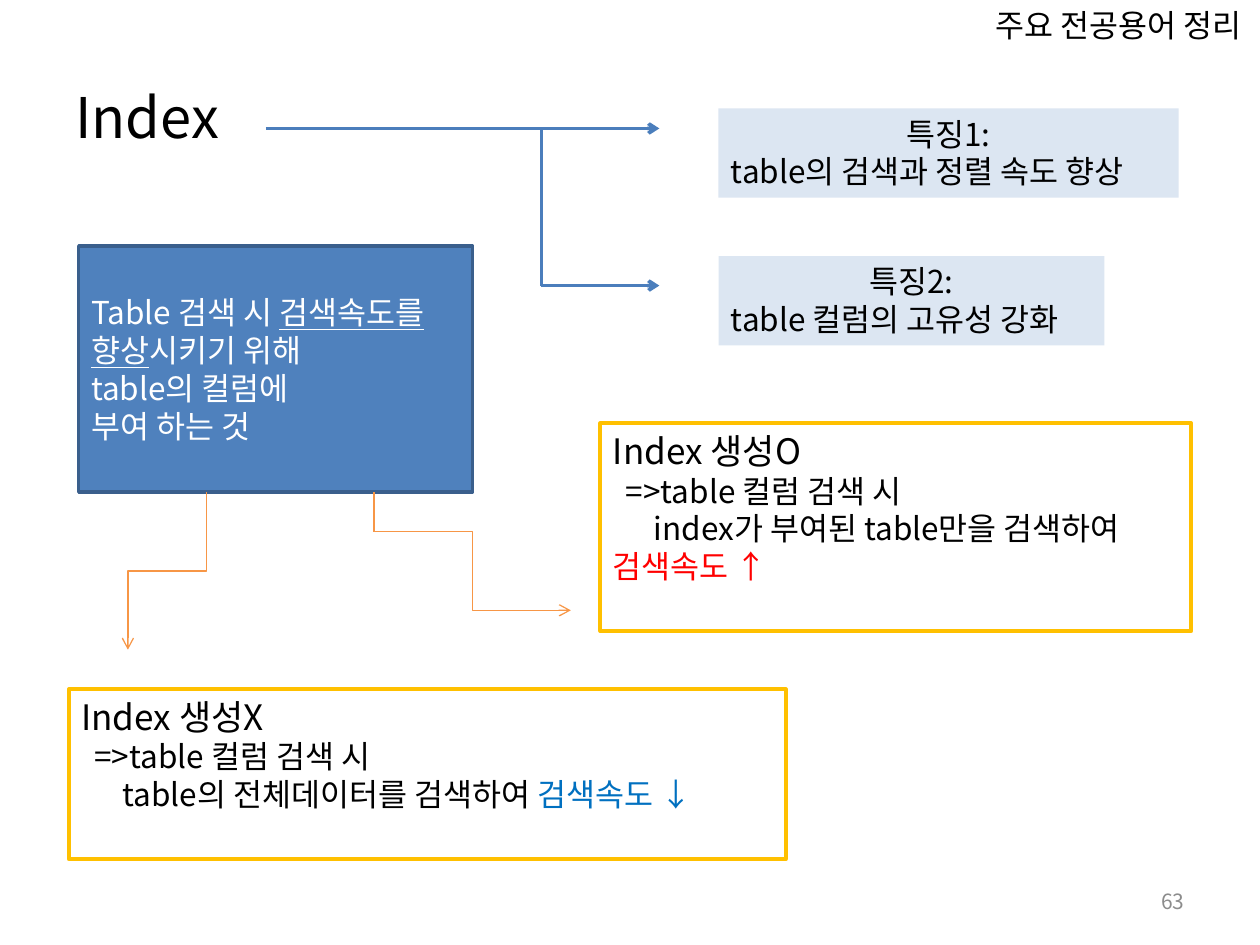
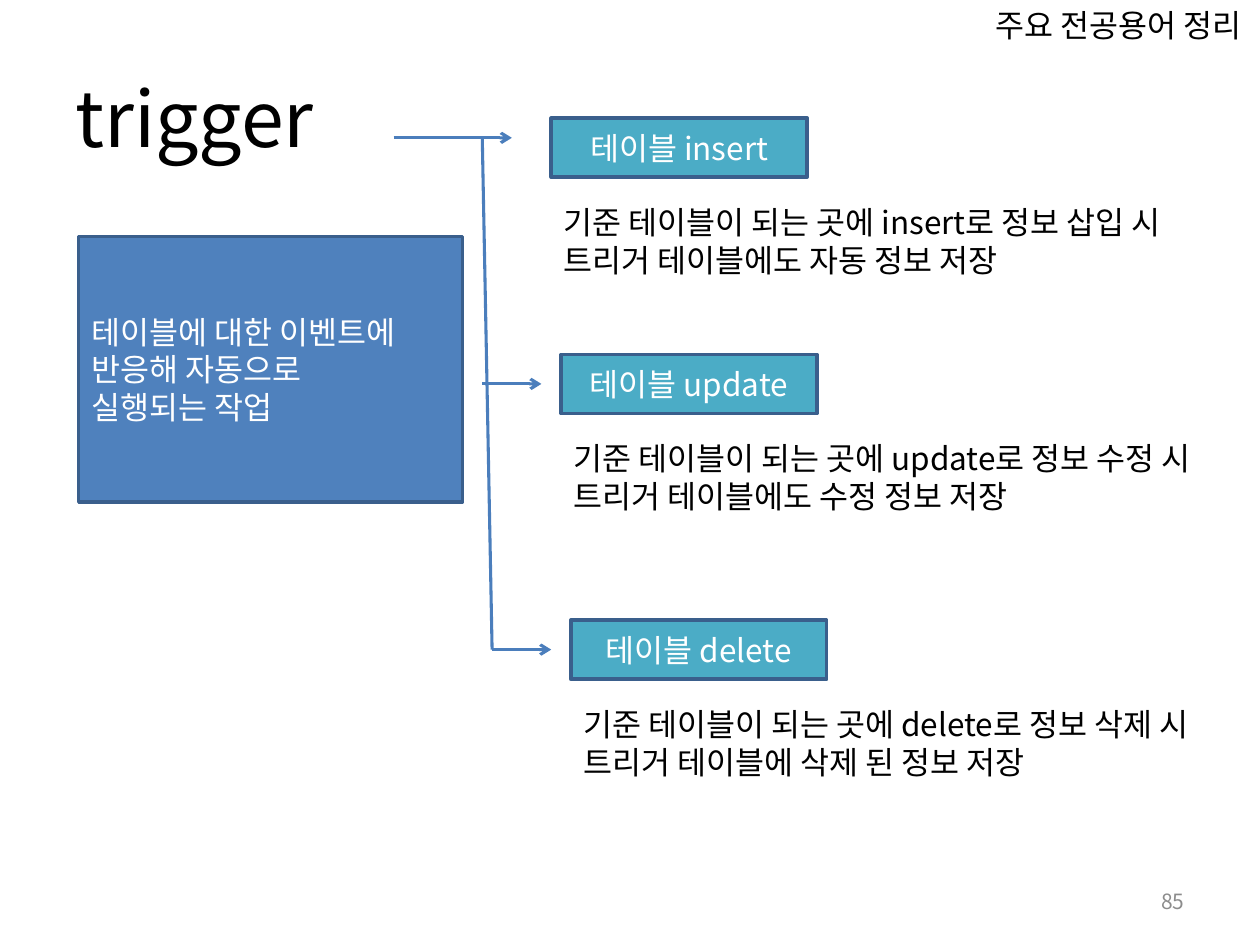
from pptx import Presentation
from pptx.dml.color import RGBColor
from pptx.enum.shapes import MSO_CONNECTOR, MSO_SHAPE
from pptx.enum.text import MSO_ANCHOR, PP_ALIGN
from pptx.oxml.ns import qn
from pptx.util import Pt
from lxml.etree import SubElement

FONT = "Noto Sans CJK KR"
BLACK, WHITE, GRAY, RED = "000000", "FFFFFF", "8C8C8C", "FF0000"
BLUE, NAVY, LINE_BLUE, PALE = "4F81BD", "3A5F8C", "4B7EBC", "DCE6F2"
TEAL, ORANGE, GOLD, LINK_BLUE = "4BACC6", "F79646", "FFC000", "0070C0"
LEFT, CENTER, RIGHT = PP_ALIGN.LEFT, PP_ALIGN.CENTER, PP_ALIGN.RIGHT
TOP, MIDDLE = MSO_ANCHOR.TOP, MSO_ANCHOR.MIDDLE
rgb = RGBColor.from_string


def add_box(page, area, paras, size=18, color=BLACK, align=LEFT, anchor=TOP,
            fill=None, line=None, weight=2):
    """Each para is (runs, changes); each run is (text, changes)."""
    area = [Pt(length) for length in area]
    if fill or line:
        box = page.shapes.add_shape(MSO_SHAPE.RECTANGLE, *area)
        box.shadow.inherit = False
        for part, shade in ((box.fill, fill), (box.line.fill, line)):
            if shade:
                part.solid()
                part.fore_color.rgb = rgb(shade)
            else:
                part.background()
        if line:
            box.line.width = Pt(weight)
    else:
        box = page.shapes.add_textbox(*area)
    frame = box.text_frame
    frame.word_wrap = True
    frame.vertical_anchor = anchor
    for number, (runs, changes) in enumerate(paras):
        para = frame.add_paragraph() if number else frame.paragraphs[0]
        para.alignment = changes.get("align", align)
        if "indent" in changes:
            para._p.get_or_add_pPr().set("marL", str(Pt(changes["indent"])))
        for text, style in runs:
            span = para.add_run()
            span.text = text
            span.font.size = Pt(changes.get("size", size))
            span.font.name = FONT
            span.font.color.rgb = rgb(style.get("color", color))
            if style.get("underline"):
                span.font.underline = True
            SubElement(span._r.get_or_add_rPr(), qn("a:ea"), typeface=FONT)


def add_line(page, start, end, color, weight, arrow=False, bent=False, turn=0):
    kind = MSO_CONNECTOR.ELBOW if bent else MSO_CONNECTOR.STRAIGHT
    line = page.shapes.add_connector(kind, *[Pt(v) for v in (*start, *end)])
    line.line.color.rgb = rgb(color)
    line.line.width = Pt(weight)
    properties = line._element.spPr
    if arrow:
        SubElement(properties.find(qn("a:ln")), qn("a:tailEnd"), type="arrow")
    if turn:
        properties.find(qn("a:xfrm")).set("rot", str(turn * 60000))
    SubElement(properties, qn("a:effectLst"))


deck = Presentation()
deck.slide_width, deck.slide_height = Pt(720), Pt(540)

# Title, running header and page number on every slide
pages = []
for title, size, number in (("Index", 32, "63"), ("trigger", 44, "85")):
    page = deck.slides.add_slide(deck.slide_layouts[6])
    add_box(page, (36, 21.6, 648, 90), [([(title, {})], {})], size, anchor=MIDDLE)
    add_box(page, (546, 0, 186, 29), [([("주요 전공용어 정리", {})], {})], align=CENTER)
    add_box(page, (516, 500.5, 168, 28.75), [([(number, {})], {})], 12, GRAY, RIGHT, MIDDLE)
    pages.append(page)
index_page, trigger_page = pages

# Index: definition
definition = [
    ([("Table 검색 시 ", {}), ("검색속도를 향상", {"underline": True}), ("시키기 위해", {})], {}),
    ([("table의 컬럼에", {})], {}),
    ([("부여 하는 것", {})], {}),
]
add_box(index_page, (45, 140.6, 225, 140.6), definition, color=WHITE, anchor=MIDDLE,
        fill=BLUE, line=NAVY)

# Index: features and the arrows to them
features = [
    (62, 263, "특징1:", "table의 검색과 정렬 속도 향상"),
    (146.4, 220.5, "특징2:", "table 컬럼의 고유성 강화"),
]
for top, width, heading, detail in features:
    add_box(index_page, (410.6, top, width, 51),
            [([(heading, {})], {"align": CENTER}), ([(detail, {})], {})], fill=PALE)
for start, end, arrow in (((152, 73.4), (376.8, 73.4), True),
                          ((309.4, 73.4), (309.4, 163.2), False),
                          ((309.4, 163.2), (376.8, 163.2), True)):
    add_line(index_page, start, end, LINE_BLUE, 2, arrow)

# Index: search without and with an index
outcomes = [
    ((39.4, 393.8, 409.6, 97.2), "Index 생성X", [
        ([("table의 전체데이터를 검색하여 ", {}), ("검색속도 ↓", {"color": LINK_BLUE})],
         {"indent": 23.5})]),
    ((343.1, 241.9, 337.6, 118.8), "Index 생성O", [
        ([("index가 부여된 table만을 검색하여", {})], {"indent": 23.5}),
        ([("검색속도 ↑", {"color": RED})], {})]),
]
for area, heading, result in outcomes:
    paras = [([(heading, {})], {"size": 20}),
             ([("=>table 컬럼 검색 시", {})], {"indent": 7.5})]
    add_box(index_page, area, paras + result, line=GOLD, weight=2.25)
add_line(index_page, (50.6, 303.75), (140.6, 348.75), ORANGE, 0.75, True, True, turn=90)
add_line(index_page, (213.8, 303.75), (326.2, 348.75), ORANGE, 0.75, True, True)
add_line(index_page, (213.8, 303.75), (213.8, 281.2), ORANGE, 0.75)

# Trigger: definition
definition = [
    ([("테이블에 대한 이벤트에 반응해 자동으로", {})], {}),
    ([("실행되는 작업", {})], {}),
]
add_box(trigger_page, (45, 135, 219.4, 151.9), definition, color=WHITE, anchor=MIDDLE,
        fill=BLUE, line=NAVY)

# Trigger: one label and description per event
events = [
    (315, 67.5, 396, "insert", "삽입", "트리거 테이블에도 자동 정보 저장"),
    (320.6, 202.5, 408, "update", "수정", "트리거 테이블에도 수정 정보 저장"),
    (326.2, 354.4, 401, "delete", "삭제", "트리거 테이블에 삭제 된 정보 저장"),
]
for left, top, width, event, action, effect in events:
    add_box(trigger_page, (left, top, 146.2, 33.75), [([(f"테이블 {event}", {})], {})],
            color=WHITE, align=CENTER, anchor=MIDDLE, fill=TEAL, line=NAVY)
    cause = f"기준 테이블이 되는 곳에 {event}로 정보 {action} 시"
    add_box(trigger_page, (left, top + 45, width, 51),
            [([(cause, {})], {}), ([(effect, {})], {})])

# Trigger: trunk line and arrows
for start, end, arrow in (((225, 78.75), (292.5, 78.75), True),
                          ((275.6, 78.75), (281.2, 371.2), False),
                          ((275.6, 219.4), (309.4, 219.4), True),
                          ((281.2, 371.2), (315, 371.2), True)):
    add_line(trigger_page, start, end, LINE_BLUE, 1.75, arrow)

deck.save("out.pptx")
